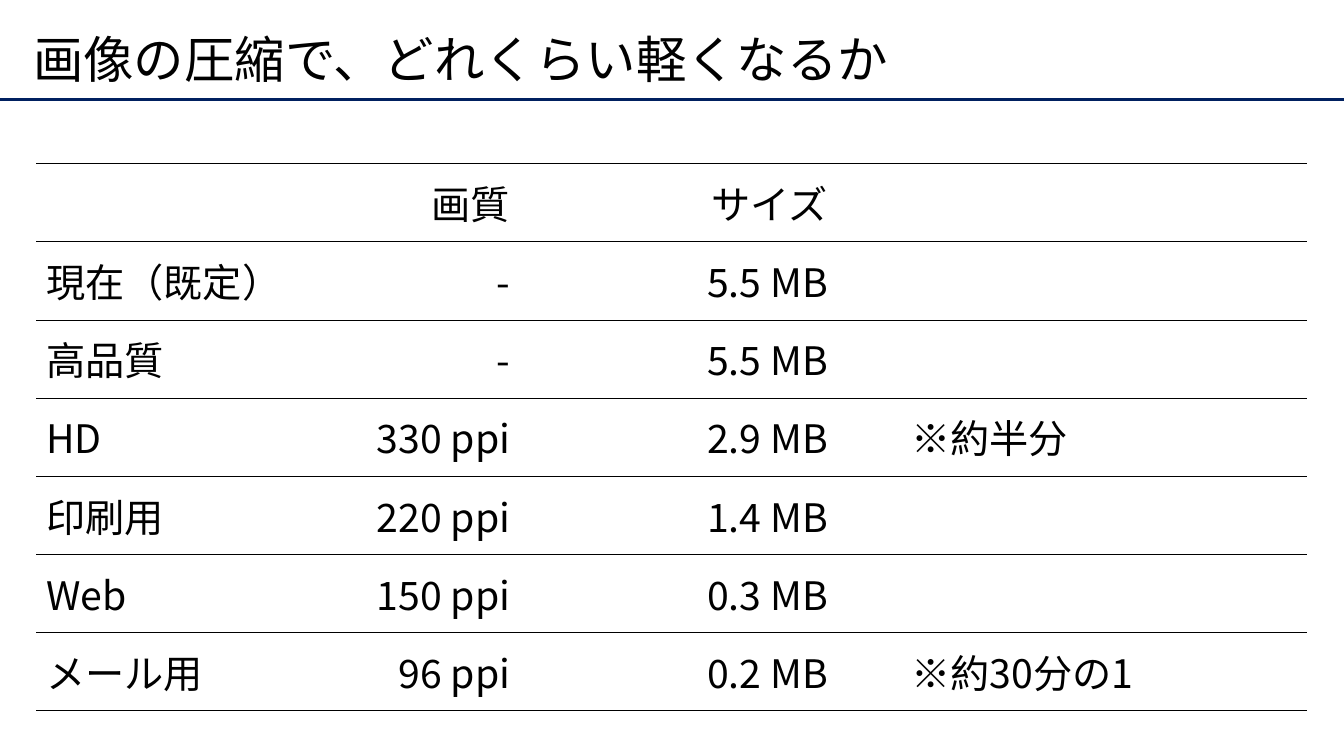
from lxml import etree
from pptx import Presentation
from pptx.dml.color import RGBColor
from pptx.enum.shapes import MSO_CONNECTOR
from pptx.enum.text import MSO_ANCHOR, PP_ALIGN
from pptx.oxml.ns import qn
from pptx.util import Inches, Pt

LEFT, RIGHT = PP_ALIGN.LEFT, PP_ALIGN.RIGHT
MIDDLE = MSO_ANCHOR.MIDDLE
STRAIGHT = MSO_CONNECTOR.STRAIGHT

TITLE = "画像の圧縮で、どれくらい軽くなるか"
ROWS = [
    ("", "画質", "サイズ", "", ""),
    ("現在（既定）", "-", "5.5 MB", "", ""),
    ("高品質", "-", "5.5 MB", "", ""),
    ("HD", "330 ppi", "2.9 MB", "", "※約半分"),
    ("印刷用", "220 ppi", "1.4 MB", "", ""),
    ("Web", "150 ppi", "0.3 MB", "", ""),
    ("メール用", "96 ppi", "0.2 MB", "", "※約30分の1"),
]
WIDTHS = [2.91, 1.89, 3.15, 0.63, 4.02]
ALIGNS = [LEFT, RIGHT, RIGHT, LEFT, LEFT]
HEIGHT = 5.43
SANS = "Noto Sans CJK JP"
BLACK, NAVY = "000000", "002060"
THIN, THICK = 0.25, 1


def color(code):
    return RGBColor.from_string(code)


def add_run(para, text, size, font):
    """Add a run whose East Asian glyphs always use the Japanese face."""
    run = para.add_run()
    run.text = text
    run.font.size = Pt(size)
    run.font.name = font
    run.font.color.rgb = color(BLACK)
    etree.SubElement(run.font._element, qn("a:ea")).set("typeface", SANS)


def set_edges(cell, top, bottom):
    """Draw only the top and bottom edges, with widths in points."""
    props = cell._tc.get_or_add_tcPr()
    edges = (("L", 0), ("R", 0), ("T", top), ("B", bottom))
    for spot, (side, width) in enumerate(edges):
        line = etree.Element(qn("a:ln" + side), w=str(Pt(width)))
        if width:
            fill = etree.SubElement(line, qn("a:solidFill"))
            etree.SubElement(fill, qn("a:srgbClr"), val=BLACK)
        else:
            etree.SubElement(line, qn("a:noFill"))
        props.insert(spot, line)


def add_title(slide):
    rule = slide.shapes.add_connector(
        STRAIGHT, 0, Inches(0.99), Inches(13.33), Inches(0.99))
    rule.line.color.rgb = color(NAVY)
    rule.line.width = Pt(2.25)
    etree.SubElement(rule._element.spPr, qn("a:effectLst"))

    box = slide.shapes.add_textbox(
        Inches(0.23), Inches(0.2), Inches(12.6), Inches(0.84))
    frame = box.text_frame
    frame.word_wrap = True
    frame.vertical_anchor = MIDDLE
    para = frame.paragraphs[0]
    para.line_spacing = 0.9
    add_run(para, TITLE, 36, "Arial")


def add_sizes(slide):
    last = len(ROWS) - 1
    table = slide.shapes.add_table(
        len(ROWS), len(WIDTHS), Inches(0.36), Inches(1.62),
        Inches(sum(WIDTHS)), Inches(HEIGHT)).table
    table.first_row = table.horz_banding = False
    for col, width in zip(table.columns, WIDTHS):
        col.width = Inches(width)
    for r, row in enumerate(ROWS):
        table.rows[r].height = Inches(HEIGHT / len(ROWS))
        for c, text in enumerate(row):
            cell = table.cell(r, c)
            cell.vertical_anchor = MIDDLE
            cell.fill.background()
            set_edges(cell, THICK if r == 0 else THIN,
                      THICK if r == last else THIN)
            if text:
                para = cell.text_frame.paragraphs[0]
                para.alignment = ALIGNS[c]
                add_run(para, text, 28, SANS)


def main():
    deck = Presentation()
    deck.slide_width, deck.slide_height = Inches(13.33), Inches(7.5)
    slide = deck.slides.add_slide(deck.slide_layouts[6])
    add_title(slide)
    add_sizes(slide)
    deck.save("out.pptx")


if __name__ == "__main__":
    main()
